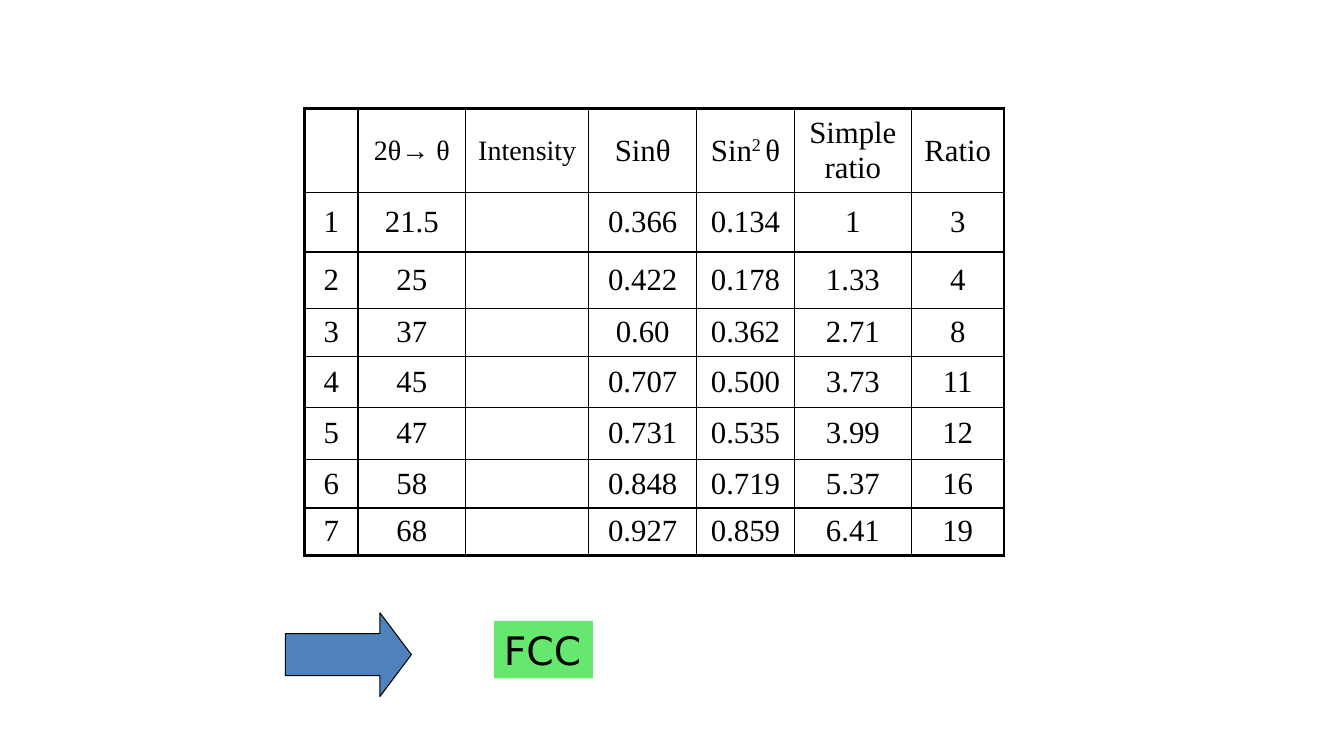
from lxml import etree
from pptx import Presentation
from pptx.dml.color import RGBColor
from pptx.enum import shapes, text
from pptx.oxml import ns
from pptx.util import Inches, Pt

# Content: each header is a list of (text, is superscript) runs
HEADERS = [
    [],
    [("2θ→ θ", False)],
    [("Intensity", False)],
    [("Sinθ", False)],
    [("Sin", False), ("2 ", True), ("θ", False)],
    [("Simple ratio", False)],
    [("Ratio", False)],
]
PEAKS = [
    ("1", "21.5", "", "0.366", "0.134", "1", "3"),
    ("2", "25", "", "0.422", "0.178", "1.33", "4"),
    ("3", "37", "", "0.60", "0.362", "2.71", "8"),
    ("4", "45", "", "0.707", "0.500", "3.73", "11"),
    ("5", "47", "", "0.731", "0.535", "3.99", "12"),
    ("6", "58", "", "0.848", "0.719", "5.37", "16"),
    ("7", "68", "", "0.927", "0.859", "6.41", "19"),
]
CONCLUSION = "FCC"

# Layout in inches
COLUMN_WIDTHS = (0.53, 1.07, 1.22, 1.07, 0.97, 1.16, 0.92)
ROW_HEIGHTS = (0.83, 0.59, 0.56, 0.48, 0.5, 0.52, 0.48, 0.47)
TABLE_CORNER = (3.02, 1.08)
ARROW_BOX = (2.83, 6.08, 1.25, 0.83)
CONCLUSION_BOX = (4.9, 6.16, 0.98, 0.57)

THEME = {
    "ink": "000000", "arrow": "4F81BD", "highlight": "66E86F",
    "table_font": "Times New Roman", "label_font": "DejaVu Sans",
    "small": 20, "body": 22, "label": 28,
    "outer_line": 2.25, "inner_line": 1, "arrow_line": 0.75,
}
SMALL_HEADER_COLUMNS = (1, 2)


def color(name):
    return RGBColor.from_string(THEME[name])


def add_run(paragraph, words, size, font_name, superscript=False):
    run = paragraph.add_run()
    run.text = words
    run.font.size = Pt(THEME[size])
    run.font.name = THEME[font_name]
    run.font.color.rgb = color("ink")
    if superscript:
        run.font._element.set("baseline", "30000")


def add_border(cell, side, is_outer):
    width = THEME["outer_line" if is_outer else "inner_line"]
    properties = cell._tc.get_or_add_tcPr()
    line = etree.SubElement(properties, ns.qn(f"a:ln{side}"), w=str(Pt(width)))
    fill = etree.SubElement(line, ns.qn("a:solidFill"))
    etree.SubElement(fill, ns.qn("a:srgbClr"), val=THEME["ink"])


def fill_cell(cell, runs, size):
    cell.vertical_anchor = text.MSO_ANCHOR.MIDDLE
    paragraph = cell.text_frame.paragraphs[0]
    paragraph.alignment = text.PP_ALIGN.CENTER
    for words, superscript in runs:
        add_run(paragraph, words, size, "table_font", superscript)


def add_peak_table(slide):
    rows = HEADERS, *([[(value, False)] if value else [] for value in peak]
                      for peak in PEAKS)
    last_row, last_column = len(ROW_HEIGHTS) - 1, len(COLUMN_WIDTHS) - 1
    size = (sum(COLUMN_WIDTHS), sum(ROW_HEIGHTS))
    table = slide.shapes.add_table(
        len(ROW_HEIGHTS), len(COLUMN_WIDTHS),
        *map(Inches, TABLE_CORNER + size)).table
    table.first_row = table.horz_banding = False
    for column, width in zip(table.columns, COLUMN_WIDTHS):
        column.width = Inches(width)
    for row, height in zip(table.rows, ROW_HEIGHTS):
        row.height = Inches(height)

    for r, row in enumerate(rows):
        for c, runs in enumerate(row):
            cell = table.cell(r, c)
            is_small = r == 0 and c in SMALL_HEADER_COLUMNS
            fill_cell(cell, runs, "small" if is_small else "body")
            for side, is_outer in (("L", c == 0), ("R", c == last_column),
                                   ("T", r == 0), ("B", r == last_row)):
                add_border(cell, side, is_outer)
            cell.fill.background()


def add_arrow(slide):
    arrow = slide.shapes.add_shape(
        shapes.MSO_SHAPE.RIGHT_ARROW, *map(Inches, ARROW_BOX))
    arrow.adjustments[0] = 0.5
    arrow.adjustments[1] = 0.375
    arrow.shadow.inherit = False
    arrow.fill.solid()
    arrow.fill.fore_color.rgb = color("arrow")
    arrow.line.color.rgb = color("ink")
    arrow.line.width = Pt(THEME["arrow_line"])


def add_conclusion(slide):
    label = slide.shapes.add_textbox(*map(Inches, CONCLUSION_BOX))
    label.fill.solid()
    label.fill.fore_color.rgb = color("highlight")
    label.text_frame.word_wrap = False
    label.text_frame.auto_size = text.MSO_AUTO_SIZE.SHAPE_TO_FIT_TEXT
    add_run(label.text_frame.paragraphs[0], CONCLUSION, "label", "label_font")


def main():
    presentation = Presentation()
    presentation.slide_width = Inches(13.33)
    presentation.slide_height = Inches(7.5)
    slide = presentation.slides.add_slide(presentation.slide_layouts[6])
    add_peak_table(slide)
    add_arrow(slide)
    add_conclusion(slide)
    presentation.save("out.pptx")


if __name__ == "__main__":
    main()
